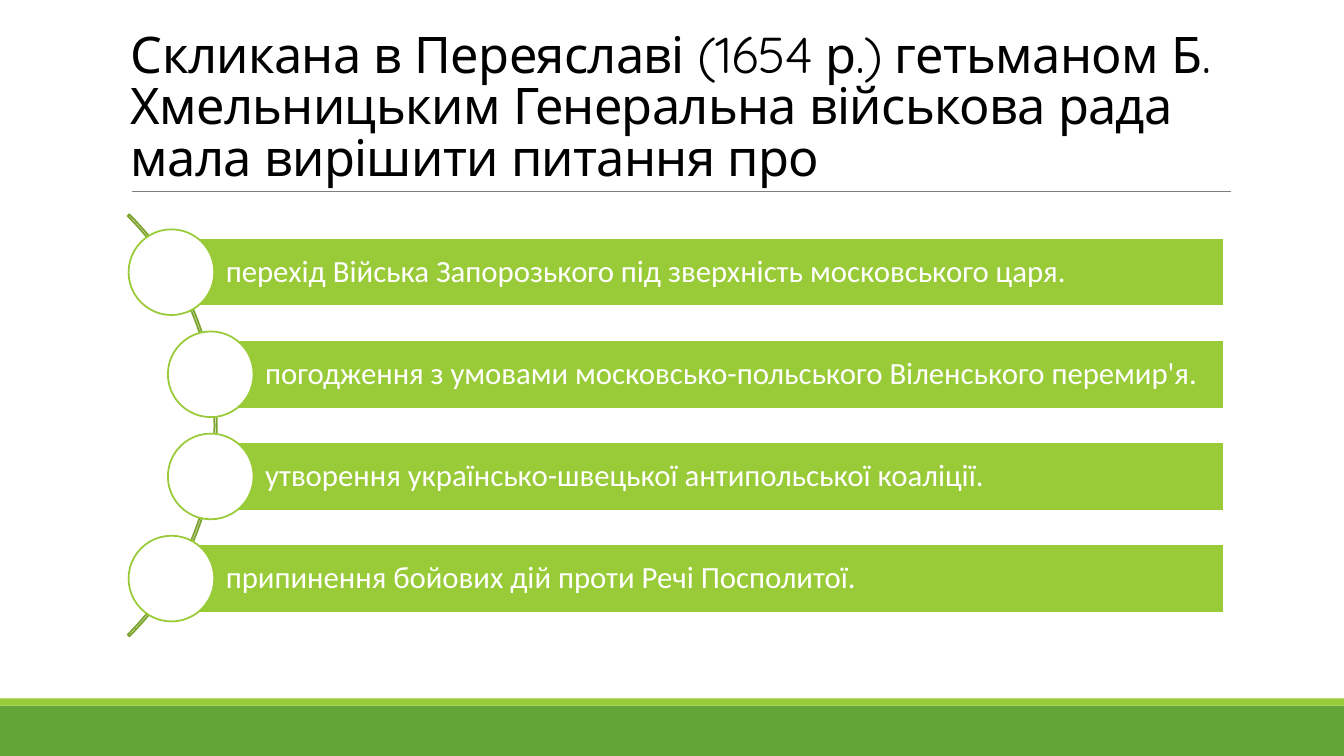
from pptx import Presentation
from pptx.dml.color import RGBColor
from pptx.enum.shapes import MSO_CONNECTOR, MSO_SHAPE
from pptx.enum.text import MSO_ANCHOR, PP_ALIGN
from pptx.util import Inches, Pt
from lxml import etree

TITLE = ("Скликана в Переяславі (1654 р.) гетьманом Б. Хмельницьким "
         "Генеральна військова рада мала вирішити питання про")
QUESTIONS = [
    (1.7, "перехід Війська Запорозького під зверхність московського царя."),
    (2.09, "погодження з умовами московсько-польського Віленського перемир'я."),
    (2.09, "утворення українсько-швецької антипольської коаліції."),
    (1.7, "припинення бойових дій проти Речі Посполитої."),
]
FOOTER = [(7, 0.5, "63A537"), (6.93, 0.07, "99CB38")]

WIDTH, HEIGHT = 13.33, 7.5
LIME, OLIVE, WHITE, BLACK, GREY = "99CB38", "7BA32D", "FFFFFF", "000000", "808080"
BAR_RIGHT, BAR_HEIGHT, CIRCLE = 12.14, 0.68, 0.85
FIRST_CENTER, LAST_CENTER = 2.7, 5.74
ARC_LEFT, ARC_TOP, ARC_SIZE = -3.77, 1.26, 5.92


def color(value):
    return RGBColor.from_string(value)


def add_box(slide, kind, left, top, width, height, fill=None, line=None):
    shape = slide.shapes.add_shape(
        kind, Inches(left), Inches(top), Inches(width), Inches(height))
    shape.shadow.inherit = False
    if fill:
        shape.fill.solid()
        shape.fill.fore_color.rgb = color(fill)
    else:
        shape.fill.background()
    if line:
        shape.line.color.rgb = color(line)
        shape.line.width = Pt(1.25)
    else:
        shape.line.fill.background()
    return shape


def write(shape, text, font, size, text_color, spacing, anchor):
    frame = shape.text_frame
    frame.word_wrap = True
    frame.vertical_anchor = anchor
    paragraph = frame.paragraphs[0]
    paragraph.alignment = PP_ALIGN.LEFT
    paragraph.line_spacing = spacing
    run = paragraph.add_run()
    run.text = text
    run.font.name = font
    run.font.size = Pt(size)
    run.font.color.rgb = color(text_color)
    return run


def add_title(slide):
    box = slide.shapes.add_textbox(Inches(1.2), Inches(0.31), Inches(11), Inches(1.59))
    run = write(box, TITLE, "Quicksand", 36, BLACK, 0.85, MSO_ANCHOR.BOTTOM)
    run.font._element.set("spc", "-50")
    rule = slide.shapes.add_connector(
        MSO_CONNECTOR.STRAIGHT, Inches(1.31), Inches(1.9), Inches(12.21), Inches(1.9))
    rule.line.color.rgb = color(GREY)
    rule.line.width = Pt(0.5)
    properties = rule._element.spPr
    etree.SubElement(properties, properties.tag.replace("presentationml", "drawingml")
                     .replace("spPr", "effectLst"))


def add_question(slide, left, center, text):
    bar = add_box(slide, MSO_SHAPE.RECTANGLE, left, center - BAR_HEIGHT / 2,
                  BAR_RIGHT - left, BAR_HEIGHT, LIME, WHITE)
    frame = bar.text_frame
    frame.margin_left = Inches(0.54)
    frame.margin_top = frame.margin_right = frame.margin_bottom = Inches(0.06)
    write(bar, text, "Calibri", 22, WHITE, 0.9, MSO_ANCHOR.MIDDLE)
    add_box(slide, MSO_SHAPE.OVAL, left - CIRCLE / 2, center - CIRCLE / 2,
            CIRCLE, CIRCLE, WHITE, LIME)


def main():
    presentation = Presentation()
    presentation.slide_width = Inches(WIDTH)
    presentation.slide_height = Inches(HEIGHT)
    slide = presentation.slides.add_slide(presentation.slide_layouts[6])

    for top, height, fill in FOOTER:
        add_box(slide, MSO_SHAPE.RECTANGLE, 0, top, WIDTH, height, fill)
    add_title(slide)

    arc = add_box(slide, MSO_SHAPE.BLOCK_ARC, ARC_LEFT, ARC_TOP, ARC_SIZE, ARC_SIZE, line=OLIVE)
    for index, value in enumerate((189, 27, 0.004)):
        arc.adjustments[index] = value

    step = (LAST_CENTER - FIRST_CENTER) / (len(QUESTIONS) - 1)
    for index, (left, text) in enumerate(QUESTIONS):
        add_question(slide, left, FIRST_CENTER + index * step, text)

    presentation.save("out.pptx")


if __name__ == "__main__":
    main()
